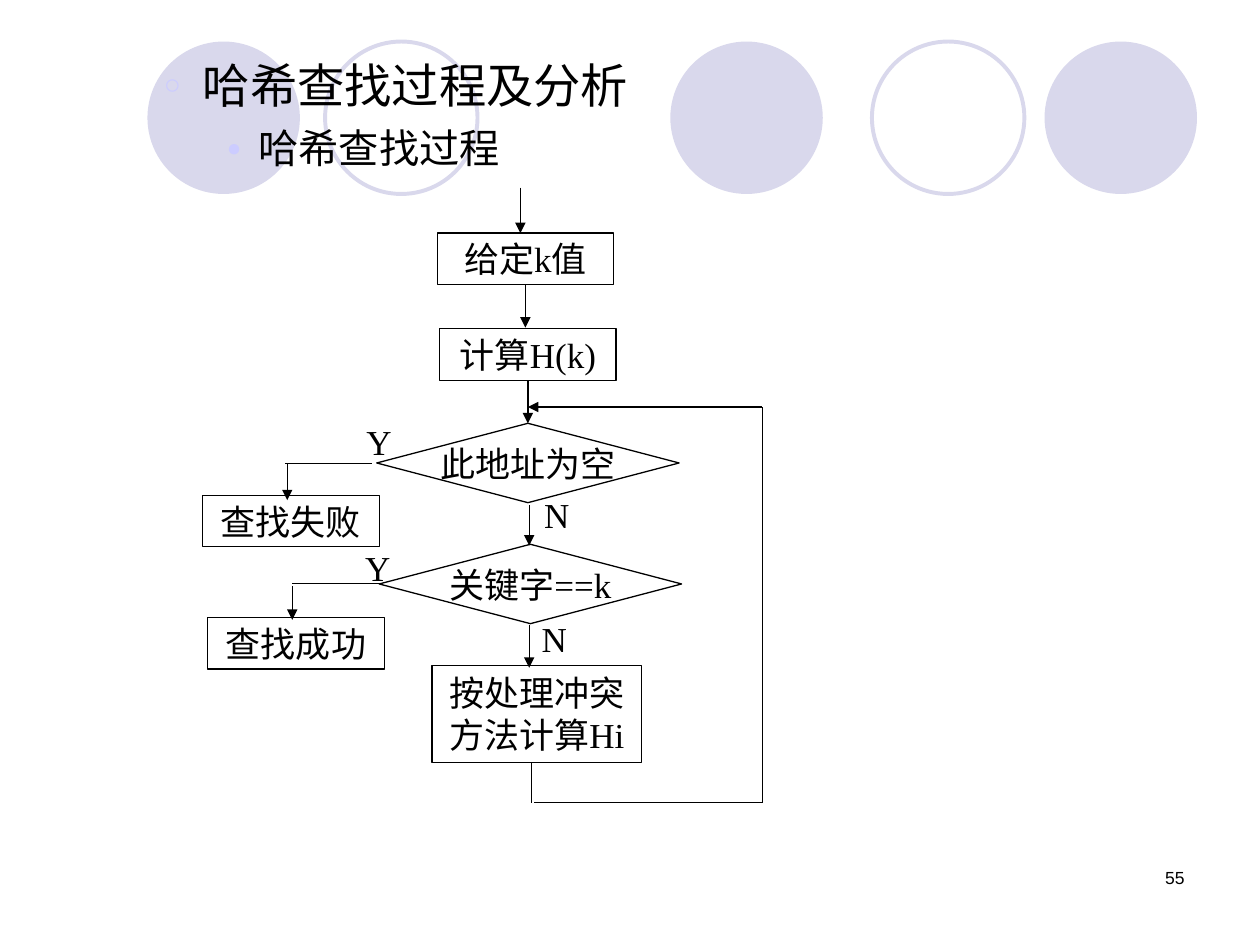
from typing import NamedTuple

from lxml.etree import SubElement
from pptx import Presentation
from pptx.dml.color import RGBColor
from pptx.enum.shapes import MSO_CONNECTOR, MSO_SHAPE
from pptx.enum.text import MSO_ANCHOR, MSO_AUTO_SIZE, PP_ALIGN
from pptx.oxml.ns import qn
from pptx.util import Inches, Pt

COLORS = {"text": "000000", "circle": "D9D8EC", "bullet": "CCCCFF"}
CIRCLE_TOP, CIRCLE_SIZE = 0.33, 1.21
STEP_SIZE = (1.4, 0.41)
DECISION_SIZE = (2.4, 0.63)
LABEL_SIZE = (0.4, 0.44)
PROCESS = MSO_SHAPE.FLOWCHART_PROCESS
DECISION = MSO_SHAPE.FLOWCHART_DECISION


class Circle(NamedTuple):
    left: float
    filled: bool


class Node(NamedTuple):
    kind: MSO_SHAPE
    left: float
    top: float
    size: tuple[float, float]
    text: str


class Link(NamedTuple):
    start: tuple[float, float]
    end: tuple[float, float]
    arrow: bool = True


class Label(NamedTuple):
    left: float
    top: float
    text: str


class Heading(NamedTuple):
    text: str
    level: int
    size: float
    margin: float
    indent: float
    space_before: float
    bullet: str


CIRCLES = [
    Circle(5.32, True), Circle(8.29, True), Circle(1.17, True),
    Circle(6.92, False), Circle(2.58, False),
]
HEADINGS = [
    Heading("哈希查找过程及分析", 0, 27, 0.81, -0.31, 0, "○"),
    Heading("哈希查找过程", 1, 23, 1.25, -0.25, 5.8, "●"),
]
NODES = [
    Node(PROCESS, 3.47, 1.85, STEP_SIZE, "给定k值"),
    Node(PROCESS, 3.49, 2.61, STEP_SIZE, "计算H(k)"),
    Node(DECISION, 2.99, 3.36, DECISION_SIZE, "此地址为空"),
    Node(DECISION, 3.01, 4.32, DECISION_SIZE, "关键字==k"),
    Node(PROCESS, 1.61, 3.93, STEP_SIZE, "查找失败"),
    Node(PROCESS, 1.65, 4.9, STEP_SIZE, "查找成功"),
    Node(PROCESS, 3.43, 5.28, (1.66, 0.77), "按处理冲突\n方法计算Hi"),
]
LINKS = [
    # Main flow
    Link((4.13, 1.49), (4.13, 1.85)),
    Link((4.17, 2.26), (4.17, 2.6)),
    Link((4.19, 3.02), (4.19, 3.36)),
    Link((4.2, 4.01), (4.2, 4.33)),
    Link((4.2, 4.96), (4.2, 5.3)),
    # Branches to the two results
    Link((2.95, 3.68), (2.26, 3.68), arrow=False),
    Link((2.28, 3.68), (2.28, 3.97)),
    Link((3.02, 4.63), (2.32, 4.63), arrow=False),
    Link((2.32, 4.65), (2.32, 4.92)),
    # Loop back to the first decision
    Link((4.22, 6.05), (4.22, 6.37), arrow=False),
    Link((4.24, 6.37), (6.05, 6.37), arrow=False),
    Link((6.05, 6.37), (6.05, 3.23), arrow=False),
    Link((6.05, 3.23), (4.19, 3.23)),
]
LABELS = [
    Label(2.81, 3.29, "Y"), Label(4.22, 3.87, "N"),
    Label(2.8, 4.29, "Y"), Label(4.2, 4.85, "N"),
]


def color(name: str) -> RGBColor:
    return RGBColor.from_string(COLORS[name])


def format_text(text_frame, font_name: str, size: float, alignment: PP_ALIGN) -> None:
    for paragraph in text_frame.paragraphs:
        paragraph.alignment = alignment
        for run in paragraph.runs:
            run.font.name = font_name
            run.font.size = Pt(size)
            run.font.color.rgb = color("text")


def add_circle(slide, circle: Circle) -> None:
    shape = slide.shapes.add_shape(
        MSO_SHAPE.OVAL, Inches(circle.left), Inches(CIRCLE_TOP),
        Inches(CIRCLE_SIZE), Inches(CIRCLE_SIZE))
    shape.shadow.inherit = False
    if circle.filled:
        shape.fill.solid()
        shape.fill.fore_color.rgb = color("circle")
        shape.line.fill.background()
    else:
        shape.fill.background()
        shape.line.color.rgb = color("circle")
        shape.line.width = Pt(2.25)


def set_bullet(paragraph, heading: Heading) -> None:
    properties = paragraph._p.get_or_add_pPr()
    properties.set("marL", str(Inches(heading.margin)))
    properties.set("indent", str(Inches(heading.indent)))
    bullet_color = SubElement(properties, qn("a:buClr"))
    SubElement(bullet_color, qn("a:srgbClr"), val=COLORS["bullet"])
    SubElement(properties, qn("a:buSzPct"), val="60000")
    SubElement(properties, qn("a:buFont"), typeface="Arial")
    SubElement(properties, qn("a:buChar"), char=heading.bullet)


def fill_body(body) -> None:
    body.left, body.top = Inches(0.7), Inches(0.4)
    body.width, body.height = Inches(9.3), Inches(1.05)
    text_frame = body.text_frame
    text_frame.text = "\n".join(heading.text for heading in HEADINGS)
    text_frame.auto_size = MSO_AUTO_SIZE.NONE
    text_frame.vertical_anchor = MSO_ANCHOR.TOP
    format_text(text_frame, "Arial", HEADINGS[0].size, PP_ALIGN.LEFT)
    for paragraph, heading in zip(text_frame.paragraphs, HEADINGS):
        paragraph.level = heading.level
        set_bullet(paragraph, heading)
        paragraph.space_before = Pt(heading.space_before)
        paragraph.runs[0].font.size = Pt(heading.size)


def add_node(slide, node: Node) -> None:
    width, height = node.size
    shape = slide.shapes.add_shape(
        node.kind, Inches(node.left), Inches(node.top), Inches(width), Inches(height))
    shape.shadow.inherit = False
    shape.fill.background()
    shape.line.color.rgb = color("text")
    shape.line.width = Pt(0.75)
    shape.text_frame.text = node.text
    shape.text_frame.word_wrap = False
    shape.text_frame.vertical_anchor = MSO_ANCHOR.MIDDLE
    format_text(shape.text_frame, "Times New Roman", 20, PP_ALIGN.CENTER)


def add_link(slide, link: Link) -> None:
    connector = slide.shapes.add_connector(
        MSO_CONNECTOR.STRAIGHT, *map(Inches, link.start + link.end))
    connector.line.color.rgb = color("text")
    connector.line.width = Pt(0.75)
    if link.arrow:
        SubElement(connector.line._get_or_add_ln(), qn("a:tailEnd"), type="triangle")
    SubElement(connector.element.spPr, qn("a:effectLst"))


def add_label(slide, label: Label) -> None:
    box = slide.shapes.add_textbox(
        Inches(label.left), Inches(label.top), *map(Inches, LABEL_SIZE))
    box.text_frame.text = label.text
    box.text_frame.word_wrap = False
    format_text(box.text_frame, "Times New Roman", 20, PP_ALIGN.LEFT)


def add_page_number(slide, number: int) -> None:
    box = slide.shapes.add_textbox(Inches(7.17), Inches(6.83), Inches(2.33), Inches(0.5))
    box.text_frame.text = str(number)
    box.text_frame.word_wrap = True
    format_text(box.text_frame, "Arial", 10, PP_ALIGN.RIGHT)


def main() -> None:
    presentation = Presentation()
    presentation.slide_width, presentation.slide_height = Inches(10), Inches(7.5)
    slide = presentation.slides.add_slide(presentation.slide_layouts[1])
    title, body = slide.placeholders
    tree = title.element.getparent()
    tree.remove(title.element)
    for circle in CIRCLES:
        add_circle(slide, circle)
    tree.append(body.element)  # headings lie in front of the circles
    fill_body(body)
    for node in NODES:
        add_node(slide, node)
    for link in LINKS:
        add_link(slide, link)
    for label in LABELS:
        add_label(slide, label)
    add_page_number(slide, 55)
    presentation.save("out.pptx")


if __name__ == "__main__":
    main()
